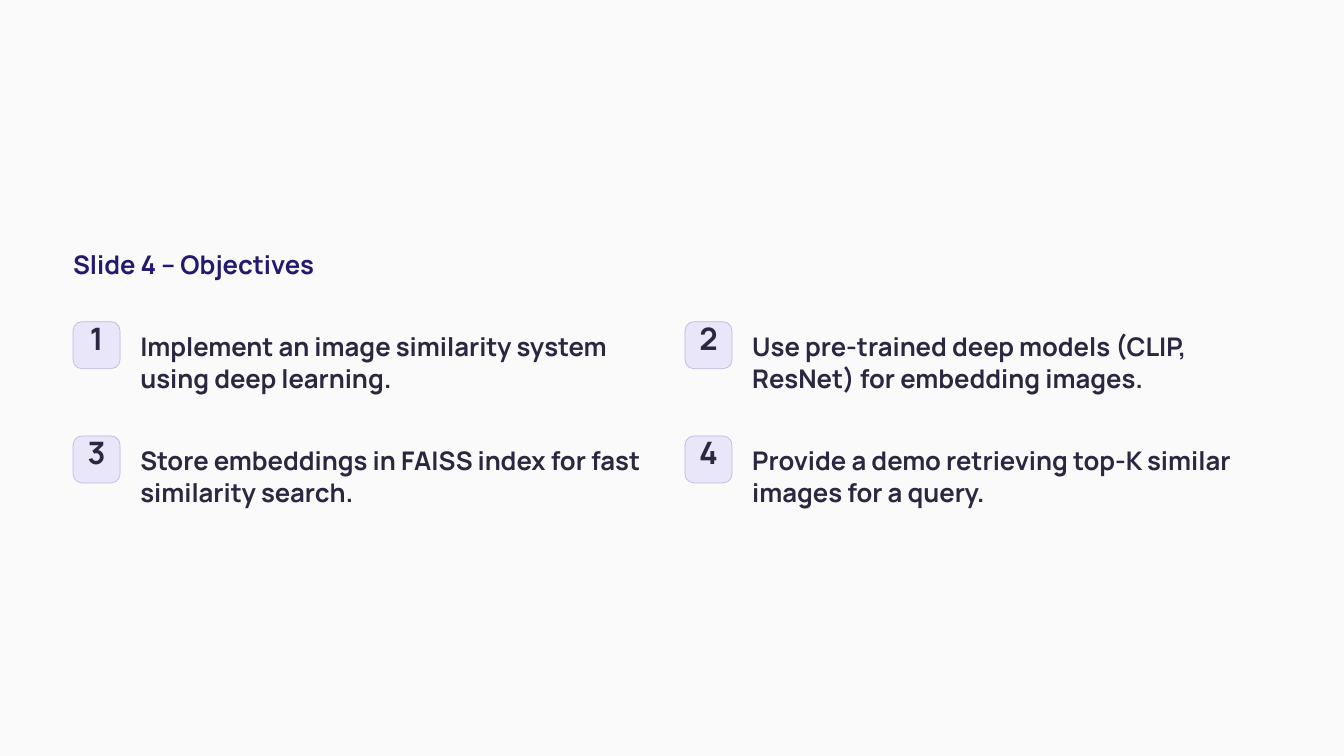
from dataclasses import dataclass

from pptx import Presentation
from pptx.dml.color import RGBColor
from pptx.enum.shapes import MSO_SHAPE
from pptx.enum.text import MSO_ANCHOR, PP_ALIGN
from pptx.slide import Slide
from pptx.util import Inches, Pt

ROUNDED = MSO_SHAPE.ROUNDED_RECTANGLE
TOP = MSO_ANCHOR.TOP
LEFT, CENTER = PP_ALIGN.LEFT, PP_ALIGN.CENTER


@dataclass(frozen=True)
class Theme:
    font: str = "Manrope"
    paper: str = "FAFAFA"
    title: str = "231971"
    ink: str = "2A2742"
    badge: str = "E9E6FA"
    border: str = "BDB8DF"
    body_size: float = 22
    body_leading: float = 27.5
    number_size: float = 26.5
    border_width: float = 0.6


@dataclass(frozen=True)
class Grid:
    """Objectives grid, in inches."""
    left: float = 0.87
    top: float = 3.83
    col: float = 7.285
    row: float = 1.36
    columns: int = 2


@dataclass(frozen=True)
class Box:
    x: float
    y: float
    w: float
    h: float

    def shifted(self, dx: float, dy: float) -> "Box":
        return Box(self.x + dx, self.y + dy, self.w, self.h)

    def emu(self) -> list[int]:
        return [Inches(v) for v in (self.x, self.y, self.w, self.h)]


@dataclass(frozen=True)
class TextStyle:
    size: float
    leading: float
    color: str
    align: PP_ALIGN = LEFT
    wrap: bool = False


THEME = Theme()
GRID = Grid()

TITLE_STYLE = TextStyle(THEME.body_size, THEME.body_leading, THEME.title)
NUMBER_STYLE = TextStyle(THEME.number_size, THEME.number_size, THEME.ink, CENTER)
BODY_STYLE = TextStyle(THEME.body_size, THEME.body_leading, THEME.ink, wrap=True)

# Parts of one objective, measured from its grid cell
BADGE = Box(0, 0, 0.56, 0.56)
NUMBER = Box(0.095, 0.05, 0.37, 0.47)
BODY = Box(0.8, 0.09, 6.17, 0.78)

TITLE = "Slide 4 – Objectives"
OBJECTIVES = [
    "Implement an image similarity system using deep learning.",
    "Use pre-trained deep models (CLIP, ResNet) for embedding images.",
    "Store embeddings in FAISS index for fast similarity search.",
    "Provide a demo retrieving top-K similar images for a query.",
]


def rgb(color: str) -> RGBColor:
    return RGBColor.from_string(color)


def add_text(s: Slide, box: Box, text: str, style: TextStyle) -> None:
    tf = s.shapes.add_textbox(*box.emu()).text_frame
    frame = {"margin_left": 0, "margin_top": 0, "margin_right": 0,
             "margin_bottom": 0, "vertical_anchor": TOP, "word_wrap": style.wrap}
    for name, value in frame.items():
        setattr(tf, name, value)
    p = tf.paragraphs[0]
    p.alignment = style.align
    p.line_spacing = Pt(style.leading)
    r = p.add_run()
    r.text = text
    for name, value in {"name": THEME.font, "size": Pt(style.size), "bold": True}.items():
        setattr(r.font, name, value)
    r.font.color.rgb = rgb(style.color)


def add_badge(s: Slide, box: Box) -> None:
    sp = s.shapes.add_shape(ROUNDED, *box.emu())
    sp.adjustments[0] = 0.19
    sp.shadow.inherit = False
    sp.fill.solid()
    sp.fill.fore_color.rgb = rgb(THEME.badge)
    sp.line.color.rgb = rgb(THEME.border)
    sp.line.width = Pt(THEME.border_width)


def add_objective(s: Slide, index: int, text: str) -> None:
    row, col = divmod(index, GRID.columns)
    x, y = GRID.left + col * GRID.col, GRID.top + row * GRID.row
    add_badge(s, BADGE.shifted(x, y))
    add_text(s, NUMBER.shifted(x, y), str(index + 1), NUMBER_STYLE)
    add_text(s, BODY.shifted(x, y), text, BODY_STYLE)


def main() -> None:
    prs = Presentation()
    prs.slide_width, prs.slide_height = Inches(16), Inches(9)
    s = prs.slides.add_slide(prs.slide_layouts[6])

    # Background
    s.background.fill.solid()
    s.background.fill.fore_color.rgb = rgb(THEME.paper)

    # Title and numbered objectives
    add_text(s, Box(GRID.left, 2.95, 3.1, 0.39), TITLE, TITLE_STYLE)
    for index, text in enumerate(OBJECTIVES):
        add_objective(s, index, text)

    prs.save("out.pptx")


if __name__ == "__main__":
    main()
